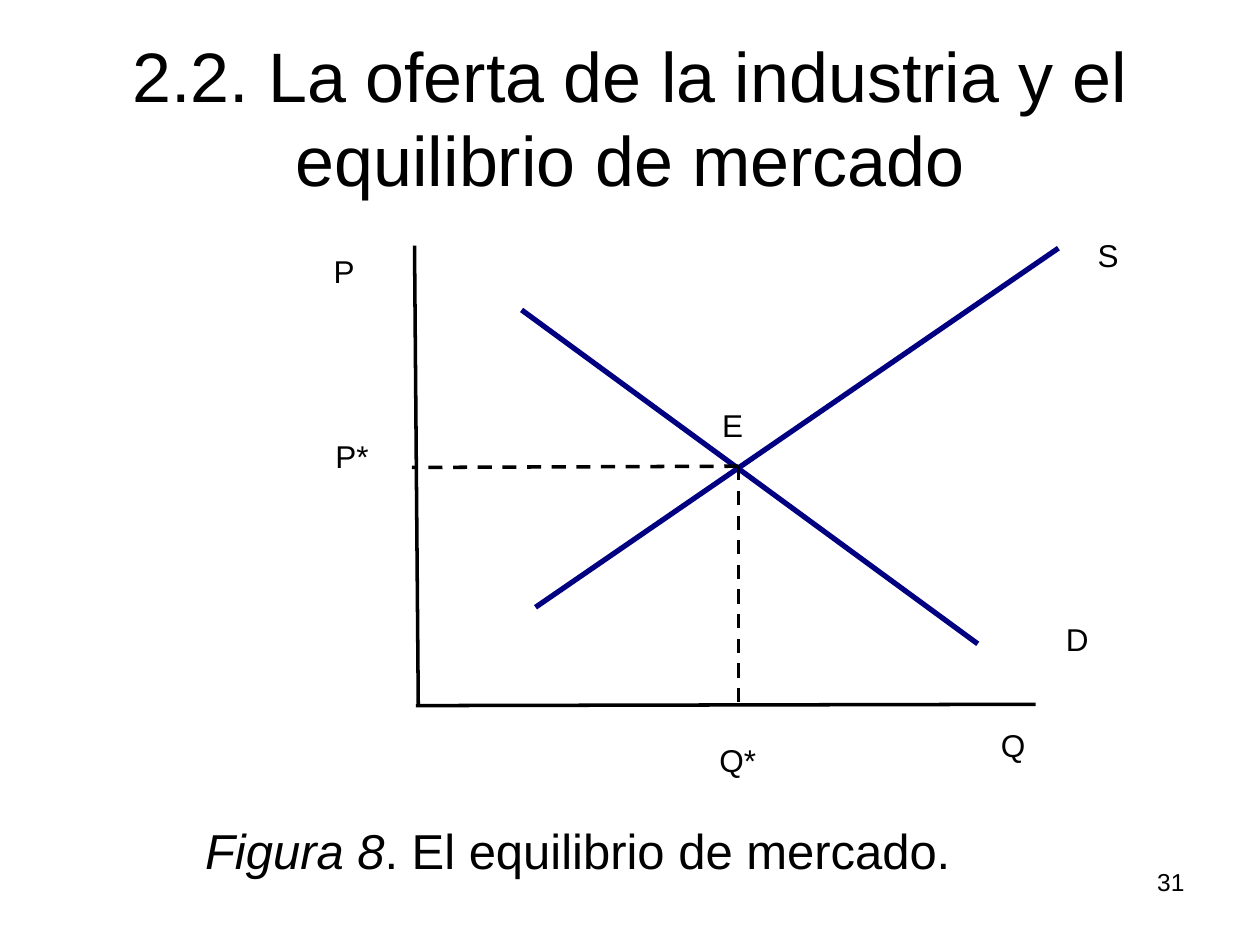
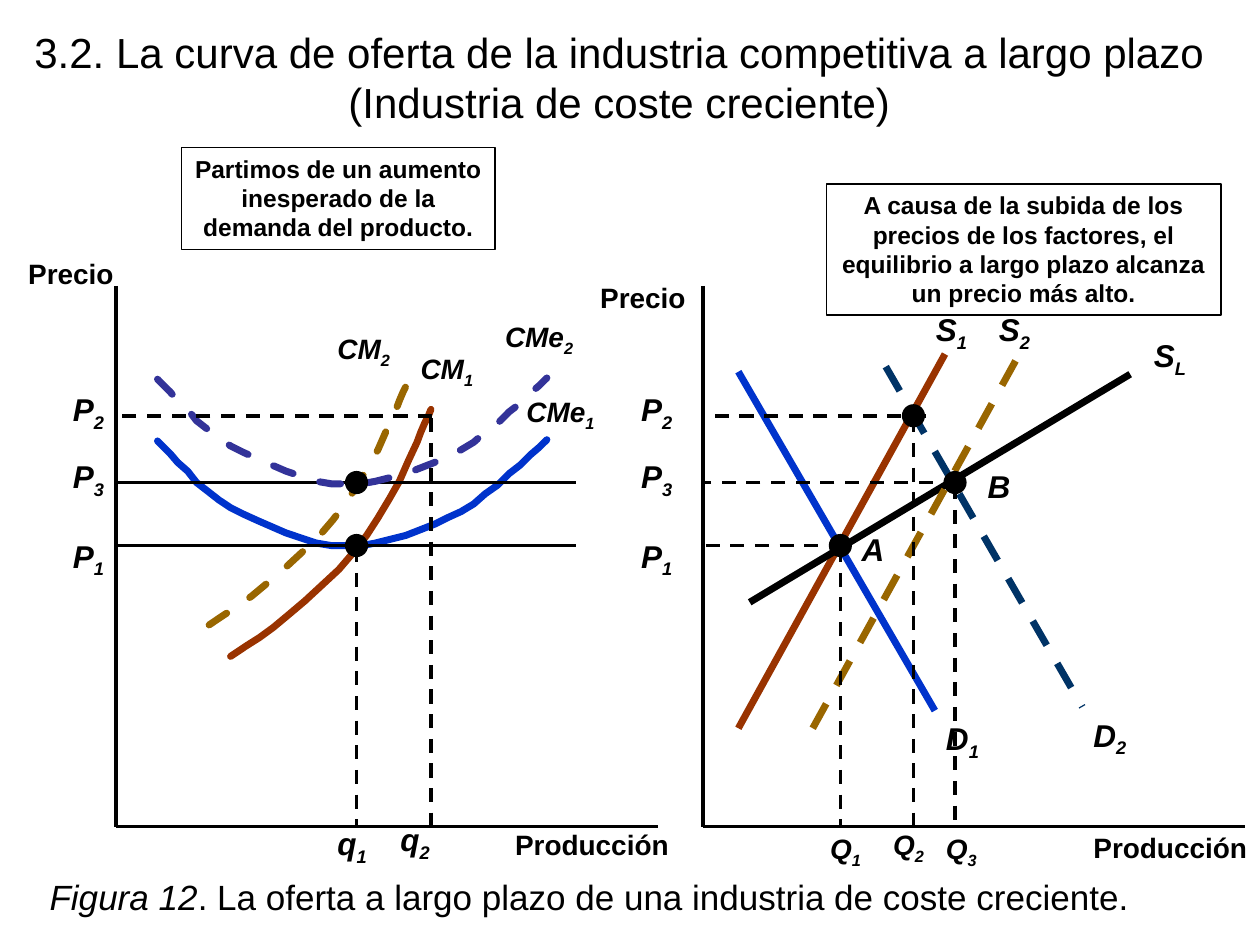
from lxml import etree
from pptx import Presentation
from pptx.dml.color import RGBColor
from pptx.enum.dml import MSO_LINE
from pptx.enum.shapes import MSO_CONNECTOR, MSO_SHAPE
from pptx.enum.text import MSO_ANCHOR, MSO_AUTO_SIZE, PP_ALIGN
from pptx.oxml.ns import qn
from pptx.util import Emu, Pt

DASH = MSO_LINE.DASH
STRAIGHT = MSO_CONNECTOR.STRAIGHT
ELLIPSE = MSO_SHAPE.OVAL
TOP, MIDDLE, BOTTOM = MSO_ANCHOR.TOP, MSO_ANCHOR.MIDDLE, MSO_ANCHOR.BOTTOM
LEFT, CENTER, RIGHT = PP_ALIGN.LEFT, PP_ALIGN.CENTER, PP_ALIGN.RIGHT
FIXED, GROW = MSO_AUTO_SIZE.NONE, MSO_AUTO_SIZE.SHAPE_TO_FIT_TEXT

EMU_PER_PX = 9144
TITLE_ONLY = 5
FONT = "Arial"
BLACK, NAVY, BLUE, BROWN = "000000", "000080", "0033CC", "993300"
OCHRE, VIOLET, TEAL = "996600", "333399", "003366"
LABEL_HEIGHTS = {18: 40, 16: 36}
BOLD = {"bold": True}
SYMBOL = {"bold": True, "italic": True}
ITALIC = {"italic": True}


def px(value):
    return Emu(round(value * EMU_PER_PX))


def color(value):
    return RGBColor.from_string(value)


def set_attributes(target, values):
    for name, value in values.items():
        setattr(target, name, value)


class Deck:
    def __init__(self, presentation):
        self.presentation = presentation
        self.slide = None

    def add_slide(self, title, box, size, anchor):
        layout = self.presentation.slide_layouts[TITLE_ONLY]
        self.slide = self.presentation.slides.add_slide(layout)
        shape = self.slide.shapes.title
        names = ("left", "top", "width", "height")
        set_attributes(shape, dict(zip(names, map(px, box))))
        self.fill_text(shape, [[(title, {})]], size, CENTER, anchor)

    def fill_text(self, shape, paragraphs, size, align=LEFT, anchor=TOP, wrap=True, fit=FIXED):
        frame = shape.text_frame
        set_attributes(frame, {"word_wrap": wrap, "auto_size": fit, "vertical_anchor": anchor})
        for index, runs in enumerate(paragraphs):
            paragraph = frame.add_paragraph() if index else frame.paragraphs[0]
            paragraph.alignment = align
            for text, values in runs:
                run = paragraph.add_run()
                run.text = text
                set_attributes(run.font, {"name": FONT, "size": Pt(size), **values})
                run.font.color.rgb = color(BLACK)

    def text(self, box, paragraphs, size, **options):
        shape = self.slide.shapes.add_textbox(*map(px, box))
        self.fill_text(shape, paragraphs, size, **options)
        return shape

    def caption(self, box, figure, sentence, size, anchor=TOP):
        runs = [(figure, ITALIC), (sentence, {})]
        self.text(box, [runs], size, align=CENTER, anchor=anchor)

    def note(self, box, lines, wrap):
        paragraphs = [[(line, BOLD)] for line in lines]
        shape = self.text(box, paragraphs, 14, align=CENTER, wrap=wrap, fit=GROW)
        self.outline(shape, BLACK, 1)

    def label(self, runs, left, top, width, size=18, **options):
        return self.text((left, top, width, LABEL_HEIGHTS[size]), [runs], size,
                         wrap=False, fit=GROW, **options)

    def symbol(self, base, subscript, left, top, width, size=18):
        runs = [(text, SYMBOL) for text in (base, subscript) if text]
        shape = self.label(runs, left, top, width, size)
        for run in shape.text_frame.paragraphs[0].runs[1:]:
            run.font._element.set("baseline", "-25000")

    def outline(self, shape, line_color, width, dash=None):
        shape.line.color.rgb = color(line_color)
        set_attributes(shape.line, {"width": Pt(width), "dash_style": dash})

    def line(self, start, end, line_color=BLACK, width=2, dash=None):
        connector = self.slide.shapes.add_connector(STRAIGHT, *map(px, start + end))
        self.outline(connector, line_color, width, dash)
        etree.SubElement(connector._element.spPr, qn("a:effectLst"))

    def curve(self, points, line_color, dash=None, shift=(0, 0)):
        moved = [(x + shift[0], y + shift[1]) for x, y in points]
        builder = self.slide.shapes.build_freeform(*moved[0], scale=EMU_PER_PX)
        builder.add_line_segments(moved[1:], close=False)
        shape = builder.convert_to_shape()
        shape.shadow.inherit = False
        shape.fill.background()
        self.outline(shape, line_color, 4, dash)
        shape._element.spPr.find(qn("a:ln")).set("cap", "rnd")

    def dot(self, x, y, diameter=17):
        corner = (x - diameter / 2, y - diameter / 2)
        shape = self.slide.shapes.add_shape(ELLIPSE, *map(px, corner + (diameter, diameter)))
        shape.shadow.inherit = False
        shape.fill.solid()
        shape.fill.fore_color.rgb = color(BLACK)
        self.outline(shape, BLACK, 1)


def market_equilibrium(deck):
    deck.add_slide("2.2. La oferta de la industria y el equilibrio de mercado",
                   (50, 30, 900, 125), 40, MIDDLE)
    deck.caption((23, 646, 871, 52), "Figura 8", ". El equilibrio de mercado.", 28)
    deck.text((717, 683, 233, 52), [[("31", {})]], 14, align=RIGHT)

    equilibrium = (586, 370)
    deck.line((329, 195), (332, 560))
    deck.line((330, 560), (822, 559))
    deck.line((414, 246), (776, 511), NAVY, 3)
    deck.line((425, 482), (840, 197), NAVY, 3)
    for axis_point in ((327, 371), (586, 559)):
        deck.line(equilibrium, axis_point, dash=DASH)

    for text, left, top, width in (
        ("D", 836, 487, 38), ("P", 254, 195, 38), ("S", 861, 182, 37), ("Q*", 561, 583, 49),
        ("P*", 256, 342, 47), ("E", 563, 317, 37), ("Q", 784, 571, 40),
    ):
        deck.label([(text, {})], left, top, width, align=CENTER, anchor=MIDDLE)


AVERAGE_COST = [
    (125, 350), (129, 354), (135, 360), (141, 367), (149, 374), (156, 383), (165, 390),
    (174, 397), (183, 403), (193, 408), (204, 413), (227, 423), (239, 427), (251, 431),
    (263, 433), (275, 433), (287, 433), (298, 431), (310, 428), (322, 425), (345, 416),
    (355, 411), (366, 406), (376, 400), (385, 392), (395, 385), (404, 376), (413, 369),
    (421, 361), (428, 355), (434, 349),
]
MARGINAL_COST = [
    (183, 521), (195, 513), (206, 506), (217, 498), (229, 488), (242, 477), (255, 465),
    (269, 452), (281, 438), (291, 425), (300, 411), (309, 396), (317, 382), (324, 366),
    (331, 351), (334, 343), (337, 336), (340, 330), (342, 325),
]


def increasing_cost_industry(deck):
    deck.add_slide("3.2. La curva de oferta de la industria competitiva a largo plazo "
                   "(Industria de coste creciente)", (15, 16, 953, 91), 24, TOP)
    deck.caption((0, 648, 936, 85), "Figura 12",
                 ". La oferta a largo plazo de una industria de coste creciente.", 20, BOTTOM)

    price_1, price_2, price_3 = 433, 330, 383
    firm_axis, industry_axis, base = 92, 558, 656
    for axis in (firm_axis, industry_axis):
        deck.line((axis, 227), (axis, base))
        deck.line((axis, base), (axis + 430, base))

    deck.curve(AVERAGE_COST, BLUE)
    deck.curve(MARGINAL_COST, BROWN)
    deck.curve(MARGINAL_COST, OCHRE, DASH, (-17, -25))
    for price in (price_1, price_3):
        deck.line((93, price), (457, price))
    deck.curve(AVERAGE_COST, VIOLET, DASH, (0, -49))

    for start, end, line_color, dash in (
        ((586, 295), (742, 564), BLUE, None),
        ((586, 578), (750, 281), BROWN, None),
        ((595, 478), (897, 297), BLACK, None),
        ((645, 578), (809, 281), OCHRE, DASH),
        ((703, 291), (859, 561), TEAL, DASH),
    ):
        deck.line(start, end, line_color, 4, dash)

    deck.line((343, price_2), (90, price_2), dash=DASH)
    deck.line((560, price_1), (665, price_1), dash=DASH)
    for price, right in ((price_2, 735), (price_3, 760)):
        deck.line((right, price), (557, price), dash=DASH)
    for quantity, price in ((283, price_1), (342, price_2), (667, price_1),
                            (725, price_2), (758, price_3)):
        deck.line((quantity, price + 2), (quantity, base), dash=DASH)
    for quantity, price in ((283, price_1), (283, price_3), (667, price_1),
                            (725, price_2), (758, price_3)):
        deck.dot(quantity, price)

    for left, top in ((12, 199), (466, 218)):
        deck.label([("Precio", BOLD)], left, top, 88, 16, align=RIGHT)
    for left, top in ((399, 652), (858, 654)):
        deck.label([("Producción", BOLD)], left, top, 142, 16)
    for subscript, top in (("1", 421), ("2", 305), ("3", 358)):
        for left in (48, 499):
            deck.symbol("P", subscript, left, top, 46)
    for letter, subscript, left, top, width, size in (
        ("S", "1", 733, 241, 46, 18), ("S", "2", 783, 241, 46, 18),
        ("S", "L", 906, 262, 47, 18), ("D", "1", 741, 566, 47, 18),
        ("D", "2", 858, 563, 47, 18), ("A", "", 674, 416, 38, 18),
        ("B", "", 774, 366, 38, 18), ("q", "1", 258, 649, 44, 18),
        ("q", "2", 308, 646, 44, 18), ("Q", "1", 649, 655, 46, 16),
        ("Q", "2", 699, 652, 46, 16), ("Q", "3", 741, 655, 46, 16),
        ("CM", "1", 324, 274, 63, 16), ("CM", "2", 258, 258, 63, 16),
        ("CMe", "1", 408, 308, 75, 16), ("CMe", "2", 391, 249, 75, 16),
    ):
        deck.symbol(letter, subscript, left, top, width, size)

    deck.note((144, 117, 249, 81),
              ["Partimos de un aumento inesperado de la demanda del producto."], True)
    deck.note((656, 146, 313, 104),
              ["A causa de la subida de los", "precios de los factores, el",
               "equilibrio a largo plazo alcanza", "un precio más alto."], False)


def main():
    presentation = Presentation()
    set_attributes(presentation, {"slide_width": px(1000), "slide_height": px(750)})
    deck = Deck(presentation)
    market_equilibrium(deck)
    increasing_cost_industry(deck)
    presentation.save("out.pptx")


if __name__ == "__main__":
    main()
